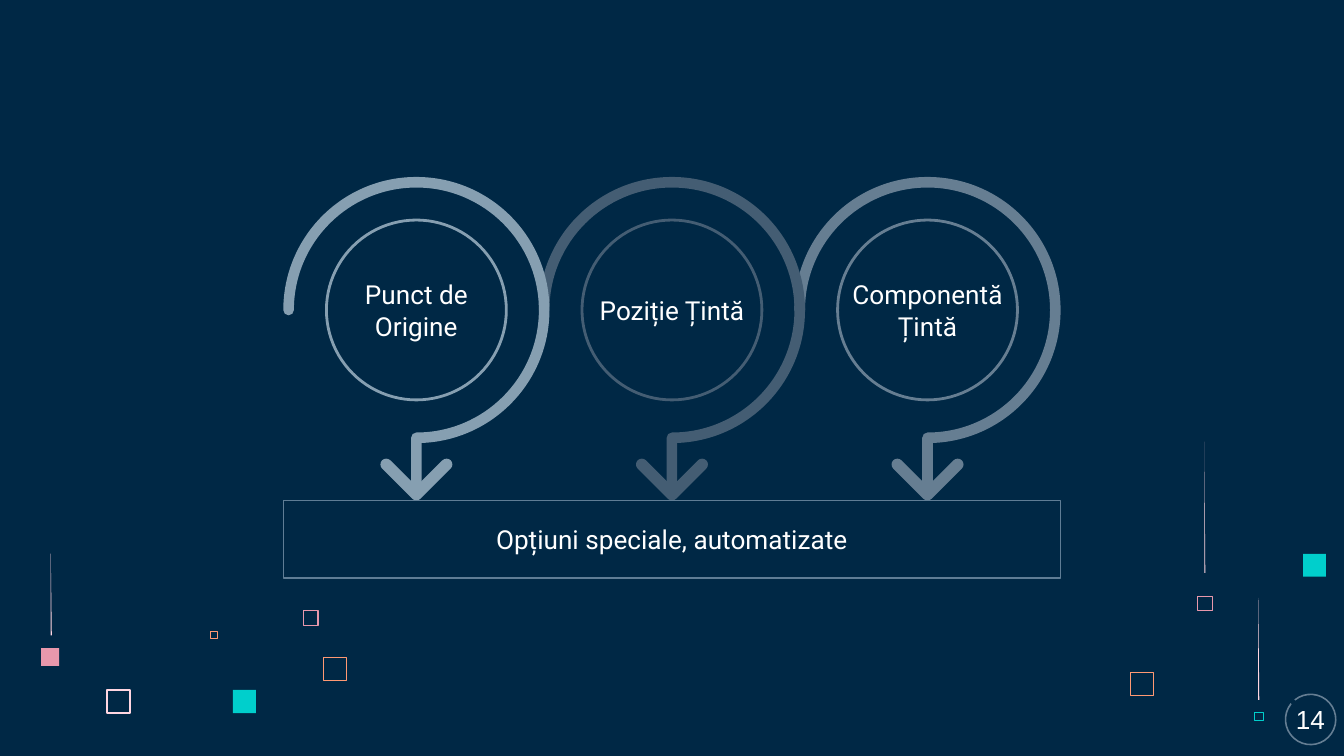
from dataclasses import dataclass
from math import acos, ceil, cos, degrees, radians, sin, tan

from lxml.etree import SubElement
from pptx import Presentation
from pptx.dml.color import RGBColor
from pptx.enum.shapes import MSO_SHAPE
from pptx.enum.text import MSO_ANCHOR, PP_ALIGN
from pptx.oxml.ns import qn
from pptx.util import Cm, Pt

NAVY, WHITE, SLATE = "002845", "FFFFFF", "5F7D95"
ROSE, BLUSH, PEACH, TEAL = "E898AC", "FFD6E1", "FF9973", "00CFCC"


def tint(code):
    return RGBColor.from_string(code)


def arc(x, y, r, start, end):
    count = ceil(abs(end - start) / 90)
    step = radians(end - start) / count
    pull = r * tan(step / 4) * 4 / 3
    parts = []
    for i in range(count + 1):
        turn = radians(start) + i * step
        c, s = cos(turn), sin(turn)
        spot = (x + r * c, y + r * s)
        lead = (spot[0] + pull * s, spot[1] - pull * c)
        parts.append([tail, lead, spot] if i else [spot])
        tail = (spot[0] - pull * s, spot[1] + pull * c)
    return parts


def bend(shape, parts):
    nodes = iter(list(shape.element.iter(qn("a:lnTo"))))
    for part in parts:
        first, *rest = [next(nodes) for _ in part]
        if rest:
            curve = SubElement(first.getparent(), qn("a:cubicBezTo"))
            first.addprevious(curve)
            for node in [first, *rest]:
                curve.append(node[0])
                node.getparent().remove(node)


def write(shape, text, font="Roboto", size=14, color=WHITE, inset=0.25):
    frame = shape.text_frame
    frame.word_wrap = True
    frame.vertical_anchor = MSO_ANCHOR.MIDDLE
    frame.margin_left = frame.margin_right = Cm(inset)
    frame.margin_top = frame.margin_bottom = Cm(inset)
    line = frame.paragraphs[0]
    line.alignment = PP_ALIGN.CENTER
    run = line.add_run()
    run.text = text
    run.font.name = font
    run.font.size = Pt(size)
    run.font.color.rgb = tint(color)


@dataclass
class Board:
    """Holds the slide and the style shared by its shapes."""

    slide: object
    bar: float = 0.1

    def paint(self, shape, fill=None, line=None, width=0.75):
        shape.shadow.inherit = False
        if fill:
            shape.fill.solid()
            shape.fill.fore_color.rgb = tint(fill)
        else:
            shape.fill.background()
        if line:
            shape.line.color.rgb = tint(line)
            shape.line.width = Pt(width)
        else:
            shape.line.fill.background()
        return shape

    def block(self, x, y, w, h, kind=MSO_SHAPE.RECTANGLE, **look):
        shape = self.slide.shapes.add_shape(kind, Cm(x), Cm(y), Cm(w), Cm(h))
        return self.paint(shape, **look)

    def frame(self, x, y, side, color, width):
        edge = Pt(width).cm
        self.block(x + edge / 2, y + edge / 2, side - edge, side - edge,
                   line=color, width=width)

    def outline(self, parts, color):
        spots = [(Cm(x), Cm(y)) for part in parts for x, y in part]
        pen = self.slide.shapes.build_freeform(*spots[0], scale=1.0)
        pen.add_line_segments(spots[1:], close=True)
        shape = pen.convert_to_shape()
        bend(shape, parts[1:])
        self.paint(shape, fill=color)

    def ray(self, x, y, h):
        self.outline([[(x, y)], [(x, y + h)], [(x + 0.02, y + h)]], BLUSH)

    def label(self, x, y, w, h, text, **form):
        box = self.slide.shapes.add_textbox(Cm(x), Cm(y), Cm(w), Cm(h))
        write(box, text, **form)

    def hook(self, x, y, r, foot, color):
        bar = self.bar
        stem = 360 + degrees(acos(bar / (r + bar)))
        self.outline(
            arc(x, y, r + bar, 180, stem)
            + [[(x + bar, foot)], [(x - bar, foot)]]
            + arc(x, y + r, bar, 180, 270)
            + arc(x, y, r - bar, 450, 180)
            + arc(x - r, y, bar, 0, 180)[::-1][:0]
            + arc(x - r, y, bar, 0, 180), color)

    def head(self, x, tip, color, reach=0.57, r=0.11):
        y = tip - r
        self.outline(
            arc(x + reach, y - reach, r, -135, 45)
            + arc(x, y, r, 45, 135)
            + arc(x - reach, y - reach, r, 135, 315)
            + [[(x, y - r * 2 ** 0.5)]], color)

    def badge(self, x, y, text):
        self.outline(arc(x, y, 0.49, 231, 579) + arc(x, y, 0.46, 579, 231), "657E93")
        self.label(x - 0.64, y - 0.43, 1.27, 0.86, text, font="Arial", inset=0.13)


def main():
    deck = Presentation()
    deck.slide_width, deck.slide_height = Cm(25.4), Cm(14.29)
    slide = deck.slides.add_slide(deck.slide_layouts[6])
    slide.background.fill.solid()
    slide.background.fill.fore_color.rgb = tint(NAVY)
    board = Board(slide)

    for x, y, side, color, width in [
        (2.01, 13.03, 0.46, BLUSH, 0.7), (5.72, 11.53, 0.3, ROSE, 0.6),
        (3.97, 11.93, 0.15, PEACH, 0.6), (6.1, 12.42, 0.46, PEACH, 0.6),
        (21.35, 12.7, 0.46, PEACH, 0.6), (22.63, 11.26, 0.28, ROSE, 0.23),
        (23.7, 13.45, 0.17, TEAL, 0.23),
    ]:
        board.frame(x, y, side, color, width)
    for x, y, side, color in [
        (4.4, 13.04, 0.44, TEAL), (0.78, 12.25, 0.34, ROSE), (24.63, 10.47, 0.43, TEAL),
    ]:
        board.block(x, y, side, side, fill=color)
    for x, y, h in [(22.76, 8.35, 2.48), (0.96, 10.46, 1.55), (23.78, 11.3, 1.93)]:
        board.ray(x, y, h)

    mid, gap, y, disc, base = 12.7, 4.83, 5.86, 3.4, 9.46
    steps = [
        (1, "Componentă Țintă", "667E92"),
        (0, "Poziție Țintă", "445D73"),
        (-1, "Punct de Origine", "869FB1"),
    ]
    for place, text, color in steps:
        x = mid + place * gap
        spot = (x - disc / 2, y - disc / 2, disc, disc)
        board.block(*spot, kind=MSO_SHAPE.OVAL, line=color, width=1.5)
        board.hook(x, y, gap / 2, base - 0.25, color)
        board.head(x, base, color)
        board.label(*spot, text)

    wide = 14.68
    panel = board.block(mid - wide / 2, base, wide, 1.47, line=SLATE)
    write(panel, "Opțiuni speciale, automatizate")
    board.badge(24.77, 13.6, "14")
    deck.save("out.pptx")


if __name__ == "__main__":
    main()
